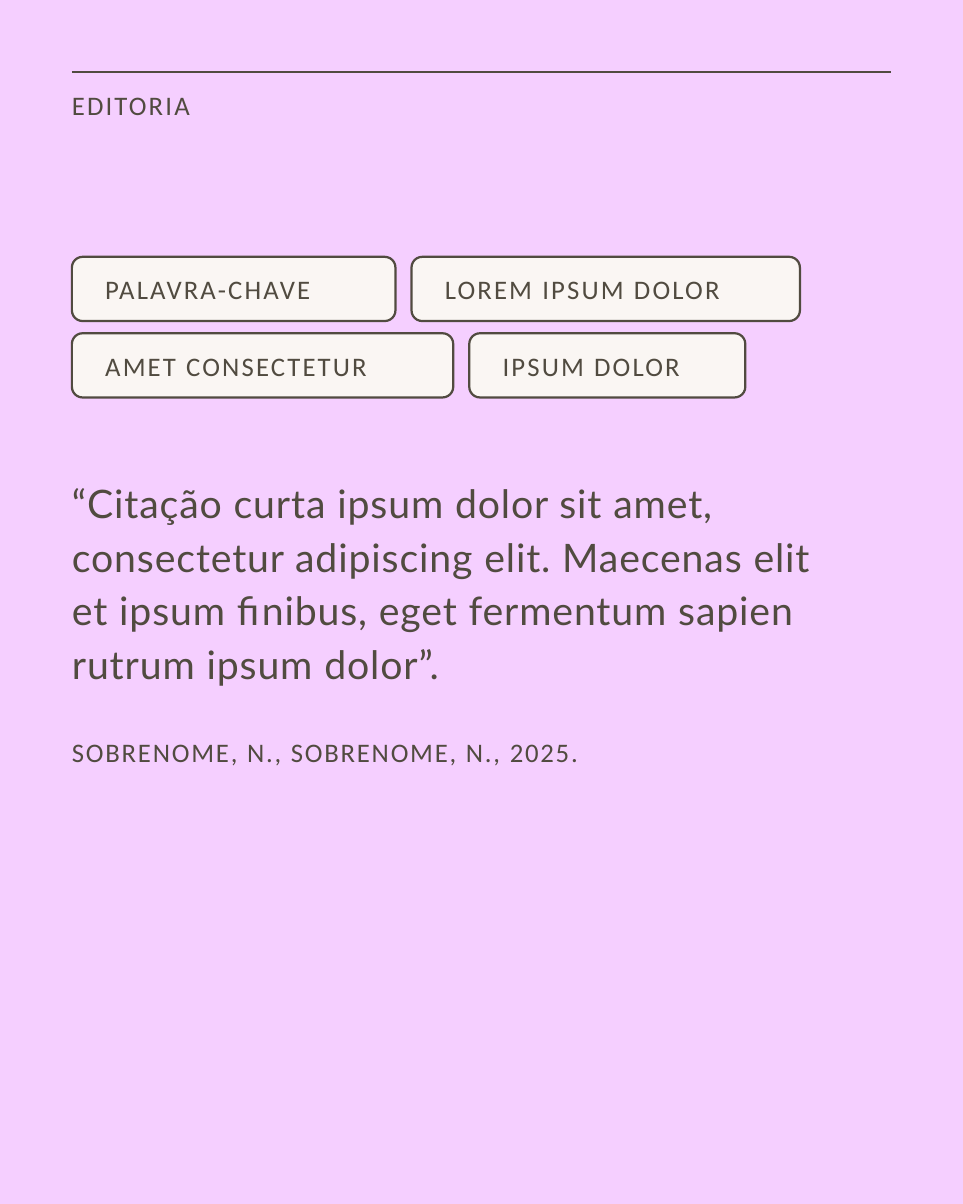
from dataclasses import dataclass

from lxml.etree import SubElement
from pptx import Presentation
from pptx.dml.color import RGBColor
from pptx.enum.shapes import MSO_CONNECTOR, MSO_SHAPE
from pptx.enum.text import MSO_ANCHOR, PP_ALIGN
from pptx.oxml.ns import qn
from pptx.util import Inches, Pt


@dataclass(frozen=True)
class Theme:
    background: RGBColor = RGBColor.from_string("F5CFFF")
    ink: RGBColor = RGBColor.from_string("514B40")
    paper: RGBColor = RGBColor.from_string("FAF6F3")
    label_font: str = "Calibri"
    quote_font: str = "Lato"
    label_size: int = 30
    quote_size: int = 44
    stroke: float = 2.5


class QuoteCard:
    """Draws the elements of a quotation card on one slide."""

    def __init__(self, slide, theme):
        self.slide = slide
        self.theme = theme
        fill = slide.background.fill
        fill.solid()
        fill.fore_color.rgb = theme.background

    def outline(self, line):
        line.color.rgb = self.theme.ink
        line.width = Pt(self.theme.stroke)

    def rule(self, left, right, y):
        line = self.slide.shapes.add_connector(
            MSO_CONNECTOR.STRAIGHT, Inches(left), Inches(y), Inches(right), Inches(y))
        self.outline(line.line)
        SubElement(line._element.spPr, qn("a:effectLst"))

    def set_text(self, p, text, font, size, tracking):
        r = p.add_run()
        r.text = text
        r._r.get_or_add_rPr().set("spc", str(round(tracking * 100)))
        p.alignment = PP_ALIGN.LEFT
        p.font.name = font
        p.font.size = Pt(size)
        p.font.color.rgb = self.theme.ink

    def label(self, p, text, tracking=2.4):
        self.set_text(p, text, self.theme.label_font, self.theme.label_size, tracking)

    def frame(self, tf, left, top, right, bottom):
        tf.word_wrap = True
        tf.margin_left, tf.margin_top = Inches(left), Inches(top)
        tf.margin_right, tf.margin_bottom = Inches(right), Inches(bottom)
        return tf

    def text_box(self, left, top, width, height, margins=(0, 0, 0, 0)):
        sp = self.slide.shapes.add_textbox(
            Inches(left), Inches(top), Inches(width), Inches(height))
        return self.frame(sp.text_frame, *margins)

    def section(self, left, top, width, height, text):
        tf = self.text_box(left, top, width, height)
        self.label(tf.paragraphs[0], text)

    def keyword(self, left, top, width, height, text):
        sp = self.slide.shapes.add_shape(
            MSO_SHAPE.ROUNDED_RECTANGLE,
            Inches(left), Inches(top), Inches(width), Inches(height))
        sp.shadow.inherit = False
        sp.fill.solid()
        sp.fill.fore_color.rgb = self.theme.paper
        self.outline(sp.line)
        tf = self.frame(sp.text_frame, 0.47, 0.2, 0.47, 0.2)
        tf.vertical_anchor = MSO_ANCHOR.MIDDLE
        self.label(tf.paragraphs[0], text)

    def keyword_rows(self, left, top, rows, height=1, gap=0.25, pitch=1.19):
        for i, row in enumerate(rows):
            x = left
            for text, width in row:
                self.keyword(x, top + i * pitch, width, height, text)
                x += width + gap

    def quote(self, left, top, width, height, text, source):
        tf = self.text_box(left, top, width, height, (0, 1.18, 0.59, 0))
        p = tf.paragraphs[0]
        p.line_spacing = Pt(60)
        self.set_text(p, text, self.theme.quote_font, self.theme.quote_size, 1)
        p = tf.add_paragraph()
        p.line_spacing = Pt(45)
        p.space_before = Pt(45)
        self.label(p, source, 2)


def main():
    prs = Presentation()
    prs.slide_width, prs.slide_height = Inches(15), Inches(18.75)
    card = QuoteCard(prs.slides.add_slide(prs.slide_layouts[6]), Theme())
    margin, width = 1.12, 12.76

    card.rule(margin, margin + width, margin)
    card.section(margin, 1.38, width, 0.51, "EDITORIA")
    card.keyword_rows(margin, 4, [
        [("PALAVRA-CHAVE", 5.04), ("LOREM IPSUM DOLOR", 6.05)],
        [("AMET CONSECTETUR", 5.94), ("IPSUM DOLOR", 4.3)],
    ])
    card.quote(
        margin, 6.19, width, 6.79,
        "“Citação curta ipsum dolor sit amet, consectetur adipiscing elit. "
        "Maecenas elit et ipsum finibus, eget fermentum sapien rutrum ipsum dolor”.",
        "SOBRENOME, N., SOBRENOME, N., 2025.")
    prs.save("out.pptx")


if __name__ == "__main__":
    main()
